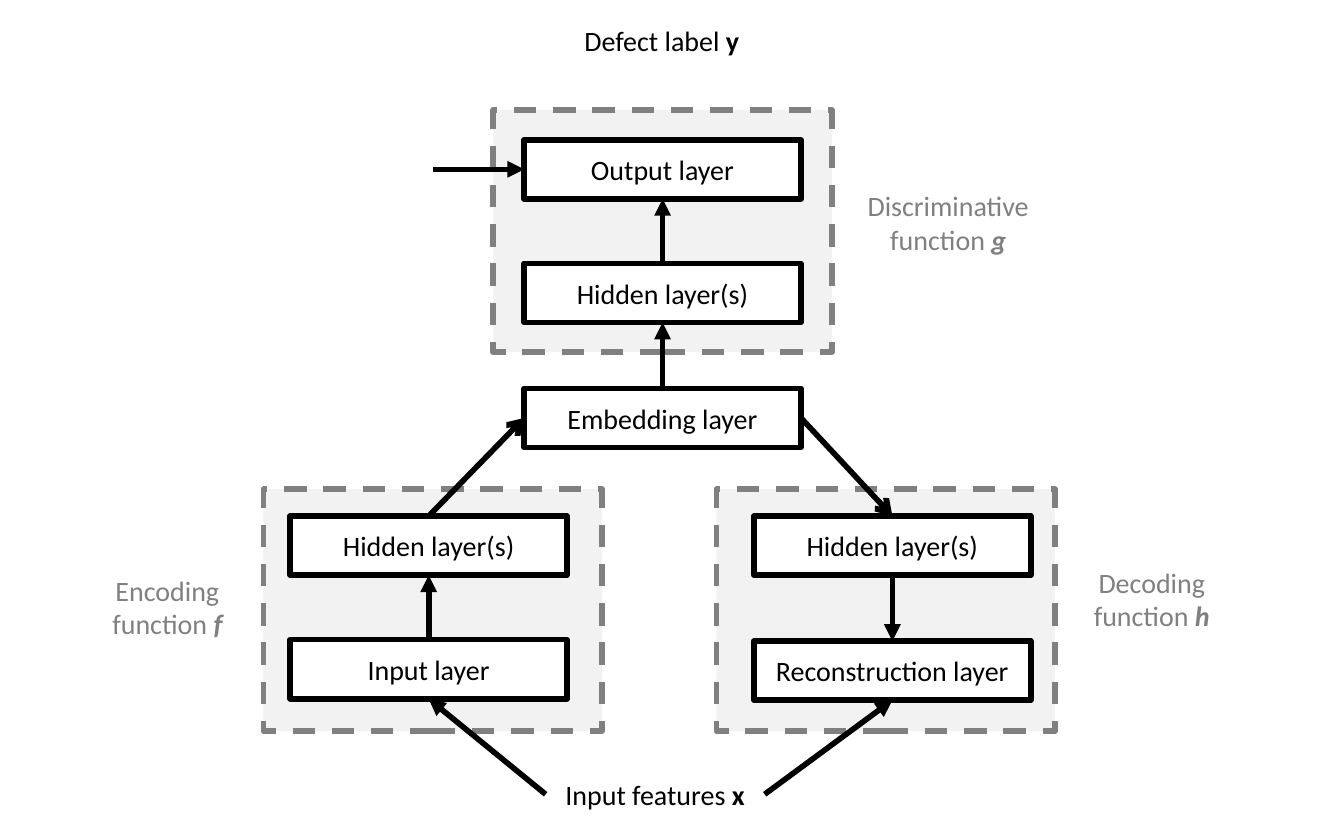
"""Build a slide showing a network with encoding, discriminative and decoding functions."""
from lxml import etree
from pptx import Presentation
from pptx.dml.color import RGBColor
from pptx.enum.dml import MSO_LINE
from pptx.enum.shapes import MSO_CONNECTOR, MSO_SHAPE
from pptx.enum.text import MSO_ANCHOR, PP_ALIGN
from pptx.oxml.ns import qn
from pptx.util import Inches, Pt

BLACK = RGBColor(0x00, 0x00, 0x00)
WHITE = RGBColor(0xFF, 0xFF, 0xFF)
GRAY = RGBColor(0x80, 0x80, 0x80)
PALE_GRAY = RGBColor(0xF2, 0xF2, 0xF2)
RECTANGLE = MSO_SHAPE.RECTANGLE
STRAIGHT = MSO_CONNECTOR.STRAIGHT
DASH = MSO_LINE.DASH
MIDDLE = MSO_ANCHOR.MIDDLE
CENTER = PP_ALIGN.CENTER
TOP, LEFT, BOTTOM, RIGHT = range(4)

presentation = Presentation()
presentation.slide_width = Inches(10)
presentation.slide_height = Inches(6.25)
slide = presentation.slides.add_slide(presentation.slide_layouts[6])


def add_rectangle(left, top, width, height, fill, line):
    shape = slide.shapes.add_shape(
        RECTANGLE, Inches(left), Inches(top), Inches(width), Inches(height))
    shape.shadow.inherit = False
    shape.fill.solid()
    shape.fill.fore_color.rgb = fill
    shape.line.color.rgb = line
    shape.line.width = Pt(3)
    return shape


def write_text(shape, text, color, symbol="", italic=False):
    text_frame = shape.text_frame
    text_frame.word_wrap = True
    text_frame.vertical_anchor = MIDDLE
    text_frame.margin_left = text_frame.margin_right = Inches(0.08)
    text_frame.margin_top = text_frame.margin_bottom = Inches(0.04)
    paragraph = text_frame.paragraphs[0]
    paragraph.alignment = CENTER
    paragraph.add_run().text = text
    if symbol:
        run = paragraph.add_run()
        run.text = symbol
        run.font.bold = True
        if italic:
            run.font.italic = True
    for run in paragraph.runs:
        run.font.name = "Calibri"
        run.font.size = Pt(15)
        run.font.color.rgb = color


for left, top in [(3.67, 0.82), (5.33, 3.64), (1.96, 3.64)]:
    panel = add_rectangle(left, top, 2.52, 1.8, PALE_GRAY, GRAY)
    panel.line.dash_style = DASH

layers = {}
for name, text, left, top in [
    ("input", "Input layer", 2.16, 4.76),
    ("encoder", "Hidden layer(s)", 2.16, 3.84),
    ("embedding", "Embedding layer", 3.9, 2.89),
    ("discriminator", "Hidden layer(s)", 3.9, 1.96),
    ("output", "Output layer", 3.9, 1.04),
    ("reconstruction", "Reconstruction layer", 5.61, 4.77),
    ("decoder", "Hidden layer(s)", 5.61, 3.84),
]:
    layers[name] = add_rectangle(left, top, 2.06, 0.44, WHITE, BLACK)
    write_text(layers[name], text, BLACK)

labels = {}
for name, text, symbol, left, top, width, height, color in [
    ("features", "Input features ", "x", 4.06, 5.76, 1.63, 0.3, BLACK),
    ("defect", "Defect label ", "y", 4.11, 0.15, 1.63, 0.3, BLACK),
    ("discriminative", "Discriminative function ", "g", 6.3, 1.35, 1.51, 0.61, GRAY),
    ("encoding", "Encoding function ", "f", 0.67, 4.21, 1.15, 0.61, GRAY),
    ("decoding", "Decoding function ", "h", 7.99, 4.15, 1.16, 0.61, GRAY),
]:
    labels[name] = slide.shapes.add_textbox(
        Inches(left), Inches(top), Inches(width), Inches(height))
    write_text(labels[name], text, color, symbol, italic=color == GRAY)

for source, source_side, target, target_side, head in [
    (layers["input"], TOP, layers["encoder"], BOTTOM, "triangle"),
    (layers["encoder"], TOP, layers["embedding"], LEFT, "arrow"),
    (layers["embedding"], TOP, layers["discriminator"], BOTTOM, "triangle"),
    (layers["discriminator"], TOP, layers["output"], BOTTOM, "triangle"),
    (layers["embedding"], RIGHT, layers["decoder"], TOP, "arrow"),
    (layers["decoder"], BOTTOM, layers["reconstruction"], TOP, "triangle"),
    (labels["features"], RIGHT, layers["reconstruction"], BOTTOM, "triangle"),
    (labels["features"], LEFT, layers["input"], BOTTOM, "triangle"),
    (None, None, layers["output"], LEFT, "triangle"),
]:
    connector = slide.shapes.add_connector(
        STRAIGHT, Inches(3.22), Inches(1.26), Inches(3.9), Inches(1.26))
    if source is not None:
        connector.begin_connect(source, source_side)
    connector.end_connect(target, target_side)
    connector.line.color.rgb = BLACK
    connector.line.width = Pt(3)
    properties = connector.line._get_or_add_ln()
    etree.SubElement(properties, qn("a:tailEnd"), type=head)
    etree.SubElement(properties.getparent(), qn("a:effectLst"))

presentation.save("out.pptx")
